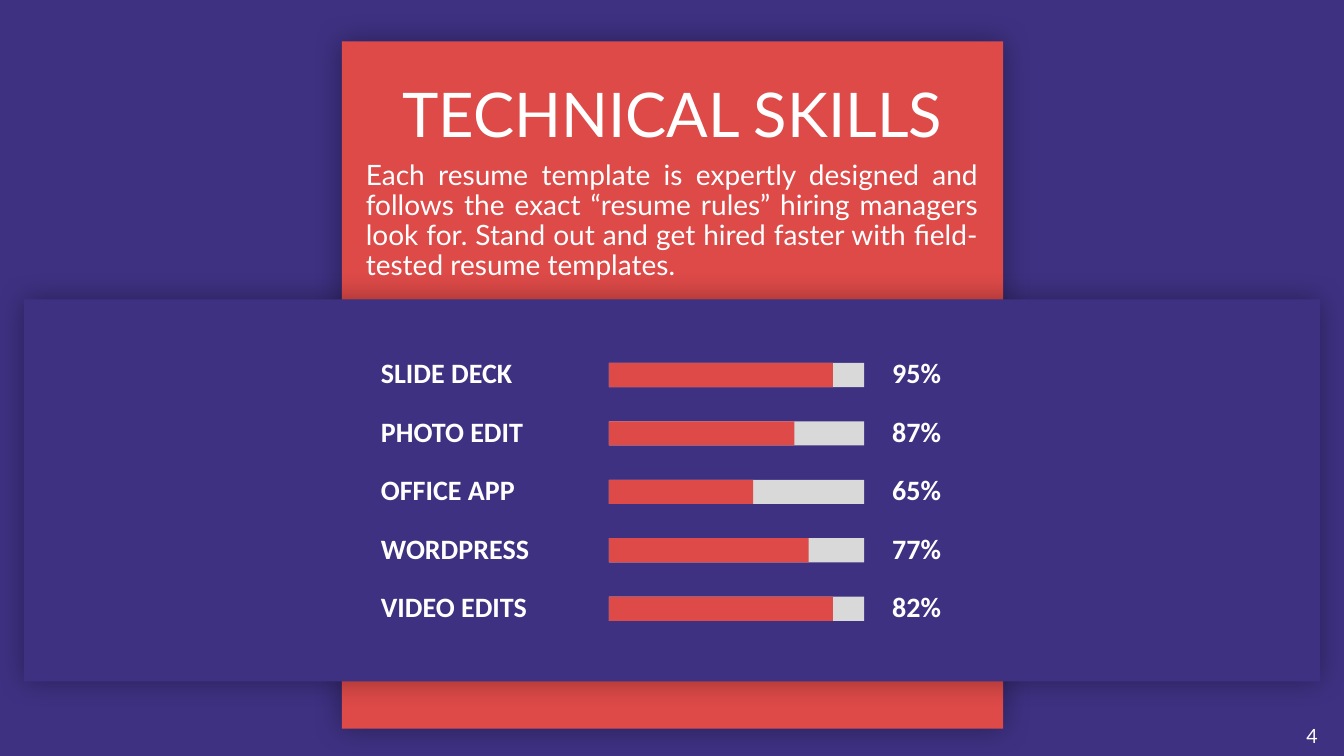
from lxml import etree
from pptx import Presentation
from pptx.dml.color import RGBColor as Rgb
from pptx.enum.shapes import MSO_SHAPE as Shp
from pptx.enum.text import MSO_ANCHOR as Anc, PP_ALIGN as Al
from pptx.oxml.ns import qn
from pptx.util import Inches, Pt

HUES = {"navy": "3E3182", "red": "DD4A48", "gray": "D9D9D9",
        "white": "FFFFFF", "black": "000000"}
SKILLS = [
    ("SLIDE DECK", "95%", 2.22),
    ("PHOTO EDIT", "87%", 1.84),
    ("OFFICE APP", "65%", 1.43),
    ("WORDPRESS", "77%", 1.98),
    ("VIDEO EDITS", "82%", 2.22),
]
TITLE = "TECHNICAL SKILLS"
INTRO = ("Each resume template is expertly designed and follows the exact "
         "“resume rules” hiring managers look for. Stand out and get hired "
         "faster with field-tested resume templates.")
PAGE = "4"
PANELS = [((3.39, 0.41, 6.56, 6.82), "red"), ((0.24, 2.97, 12.85, 3.79), "navy")]
TOP, STEP = 3.6, 0.58
BAR_X, BAR_W, BAR_H = 6.04, 2.53, 0.24
BOLD = {"size": Pt(20), "name": "Calibri", "bold": True}

deck = Presentation()
deck.slide_width, deck.slide_height = Inches(13.33), Inches(7.5)
slide = deck.slides.add_slide(deck.slide_layouts[6])
slide.background.fill.solid()
slide.background.fill.fore_color.rgb = Rgb.from_string(HUES["navy"])


def block(at, hue):
    box = slide.shapes.add_shape(Shp.RECTANGLE, *map(Inches, at))
    box.fill.solid()
    box.fill.fore_color.rgb = Rgb.from_string(HUES[hue])
    box.line.fill.background()
    box.shadow.inherit = False
    return box


def glow(box):
    root = box._element.spPr.find(qn("a:effectLst"))
    shade = etree.SubElement(root, qn("a:outerShdw"), blurRad=str(Pt(20)),
                             dist="0", dir="0", algn="ctr", rotWithShape="0")
    color = etree.SubElement(shade, qn("a:srgbClr"), val=HUES["black"])
    etree.SubElement(color, qn("a:alpha"), val="35000")


def write(at, text, font, para=None, frame=None):
    body = slide.shapes.add_textbox(*map(Inches, at)).text_frame
    line = body.paragraphs[0]
    line.text = text
    face = line.runs[0].font
    for goal, look in ((body, {"word_wrap": True, **(frame or {})}),
                       (line, para or {}), (face, font)):
        for key, val in look.items():
            setattr(goal, key, val)
    face.color.rgb = Rgb.from_string(HUES["white"])


def inset(gap):
    sides = ("left", "top", "right", "bottom")
    return {f"margin_{side}": Inches(gap) for side in sides}


for at, hue in PANELS:
    glow(block(at, hue))

for row, (name, rate, width) in enumerate(SKILLS):
    y = TOP + row * STEP
    block((BAR_X, y, BAR_W, BAR_H), "gray")
    block((BAR_X, y, width, BAR_H), "red")
    write((3.68, y - 0.12, 2.47, 0.44), name, BOLD)
    write((8.75, y - 0.12, 0.99, 0.44), rate, BOLD)

MID = {"vertical_anchor": Anc.MIDDLE}
FULL = {"alignment": Al.JUSTIFY, "line_spacing": 0.9}
write((3.72, 0.88, 5.9, 0.57), TITLE, {"size": Pt(44), "name": "Lato"},
      {**FULL, "alignment": Al.CENTER}, {**MID, **inset(0)})
write((3.53, 1.47, 6.27, 1.45), INTRO, {"size": Pt(20), "name": "Lato"},
      FULL, {**MID, **inset(0.1)})
write((12.86, 7.16, 0.47, 0.31), PAGE, {"size": Pt(14), "name": "Lato"}, FULL, MID)

deck.save("out.pptx")
